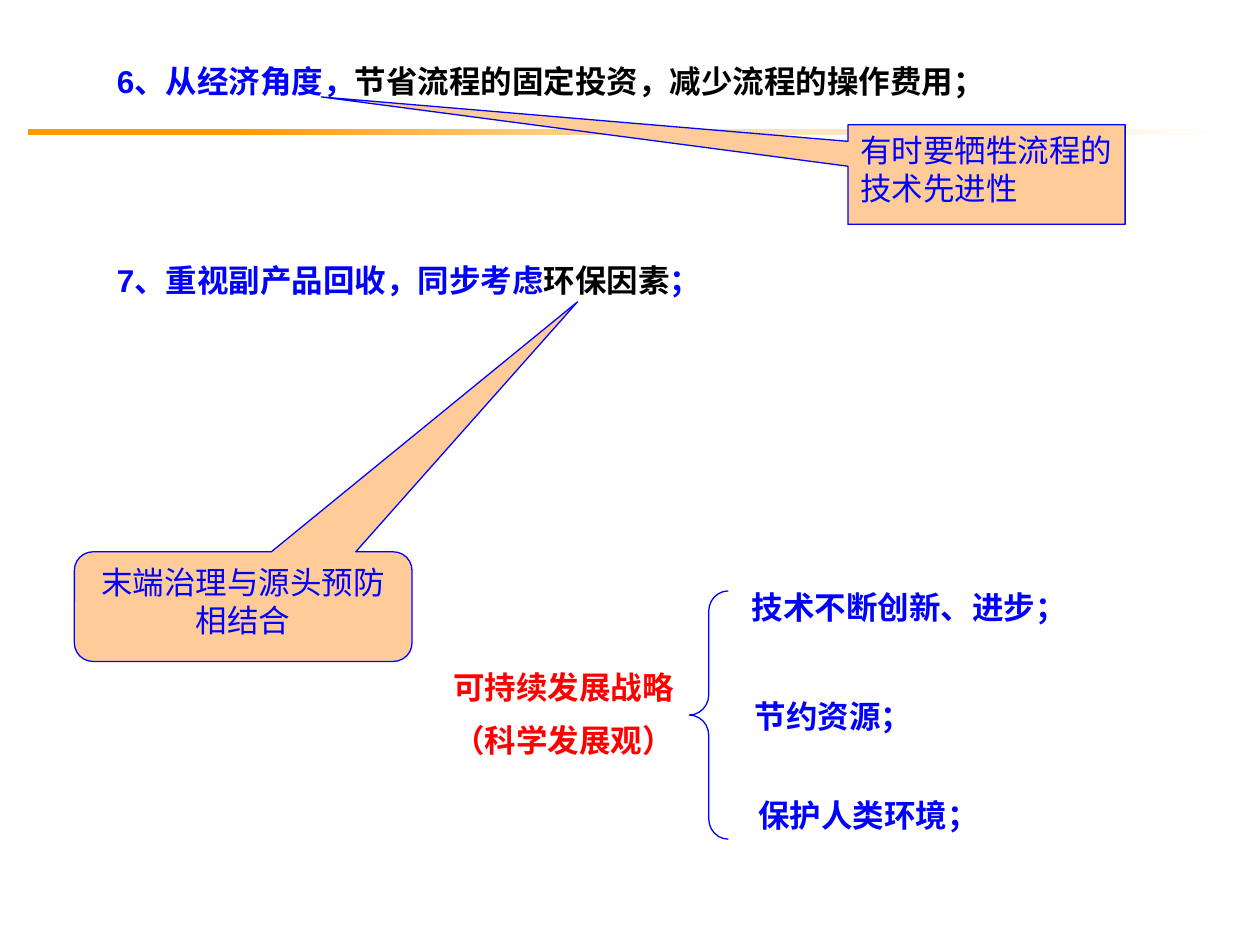
"""Build a slide on economic and environmental principles of process design."""
import copy

import pptx
import pptx.dml.color
import pptx.enum.shapes
import pptx.enum.text
import pptx.oxml.ns
import pptx.util

Inches = pptx.util.Inches
Pt = pptx.util.Pt
RGBColor = pptx.dml.color.RGBColor
Shapes = pptx.enum.shapes.MSO_SHAPE
Align = pptx.enum.text.PP_ALIGN

BLUE = RGBColor(0x00, 0x00, 0xFF)
BLACK = RGBColor(0x00, 0x00, 0x00)
RED = RGBColor(0xFF, 0x00, 0x00)
PEACH = RGBColor(0xFF, 0xCC, 0x99)
RULE_STOPS = [
    (0.17, RGBColor(0xFF, 0x99, 0x00)),
    (0.43, RGBColor(0xFF, 0xCC, 0x80)),
    (0.67, RGBColor(0xFF, 0xE6, 0xC0)),
    (0.87, RGBColor(0xFF, 0xF3, 0xE0)),
    (1.0, RGBColor(0xFF, 0xFF, 0xFF)),
]


class SlideBuilder:
    font_name = "Arial"
    font_size = Pt(18)
    line_width = Pt(0.75)

    def __init__(self, presentation):
        self.slide = presentation.slides.add_slide(presentation.slide_layouts[6])

    def style(self, paragraph, color=None, bold=False):
        font = paragraph.font
        font.name, font.size, font.bold = self.font_name, self.font_size, bold
        if color is not None:
            font.color.rgb = color

    def shape(self, kind, box, adjustments=()):
        shape = self.slide.shapes.add_shape(kind, *map(Inches, box))
        shape.shadow.inherit = False
        for index, value in enumerate(adjustments):
            shape.adjustments[index] = value
        return shape

    def outline(self, shape):
        shape.line.color.rgb = BLUE
        shape.line.width = self.line_width

    def gradient_rule(self, box, stops):
        rule = self.shape(Shapes.RECTANGLE, box)
        rule.line.fill.background()
        rule.fill.gradient()
        rule.fill.gradient_angle = 0
        stop_list = rule._element.spPr.find(".//" + pptx.oxml.ns.qn("a:gsLst"))
        for _ in range(len(stops) - len(stop_list)):
            stop_list.append(copy.deepcopy(stop_list[0]))
        for stop, (position, color) in zip(rule.fill.gradient_stops, stops):
            stop.position = position
            stop.color.rgb = color

    def text(self, box, *lines):
        frame = self.slide.shapes.add_textbox(*map(Inches, box)).text_frame
        frame.word_wrap = True
        for index, parts in enumerate(lines):
            paragraph = frame.add_paragraph() if index else frame.paragraphs[0]
            if index:
                paragraph.space_before = Pt(9)
            colors = {color for _, color in parts}
            self.style(paragraph, colors.pop() if len(colors) == 1 else None, True)
            for words, color in parts:
                run = paragraph.add_run()
                run.text = words
                if colors:
                    run.font.color.rgb = color

    def callout(self, kind, box, adjustments, words, alignment):
        callout = self.shape(kind, box, adjustments)
        callout.fill.solid()
        callout.fill.fore_color.rgb = PEACH
        self.outline(callout)
        frame = callout.text_frame
        frame.word_wrap = True
        frame.vertical_anchor = pptx.enum.text.MSO_ANCHOR.TOP
        paragraph = frame.paragraphs[0]
        paragraph.text = words
        paragraph.alignment = alignment
        self.style(paragraph, BLUE)

    def brace(self, box, adjustments):
        brace = self.shape(Shapes.LEFT_BRACE, box, adjustments)
        brace.fill.background()
        self.outline(brace)


def main():
    presentation = pptx.Presentation()
    presentation.slide_width = Inches(10)
    presentation.slide_height = Inches(7.5)
    builder = SlideBuilder(presentation)

    builder.gradient_rule((0.22, 1.02, 9.55, 0.05), RULE_STOPS)
    builder.text(
        (0.83, 0.44, 7.24, 0.4),
        [("6、从经济角度，", BLUE), ("节省流程的固定投资，减少流程的操作费用；", BLACK)],
    )
    builder.callout(
        Shapes.RECTANGULAR_CALLOUT, (6.73, 0.99, 2.2, 0.79), (-2.4, -0.78),
        "有时要牺牲流程的技术先进性", Align.LEFT,
    )
    builder.text(
        (0.83, 2.02, 5.35, 0.4),
        [("7、重视副产品回收，同步考虑", BLUE), ("环保因素", BLACK), ("；", BLUE)],
    )
    builder.text(
        (3.5, 5.25, 1.97, 0.85),
        [("可持续发展战略", RED)],
        [("（科学发展观）", RED)],
    )
    builder.brace((5.47, 4.69, 0.31, 1.97), (0.52, 0.5))
    for left, top, width, goal in (
        (5.87, 4.62, 2.84, "技术不断创新、进步；"),
        (5.89, 5.48, 1.65, "节约资源；"),
        (5.92, 6.27, 2.84, "保护人类环境；"),
    ):
        builder.text((left, top, width, 0.4), [(goal, BLUE)])
    builder.callout(
        Shapes.ROUNDED_RECTANGULAR_CALLOUT, (0.59, 4.38, 2.68, 0.87),
        (0.99, -2.78, 0.17), "末端治理与源头预防相结合", Align.CENTER,
    )
    presentation.save("out.pptx")


if __name__ == "__main__":
    main()
